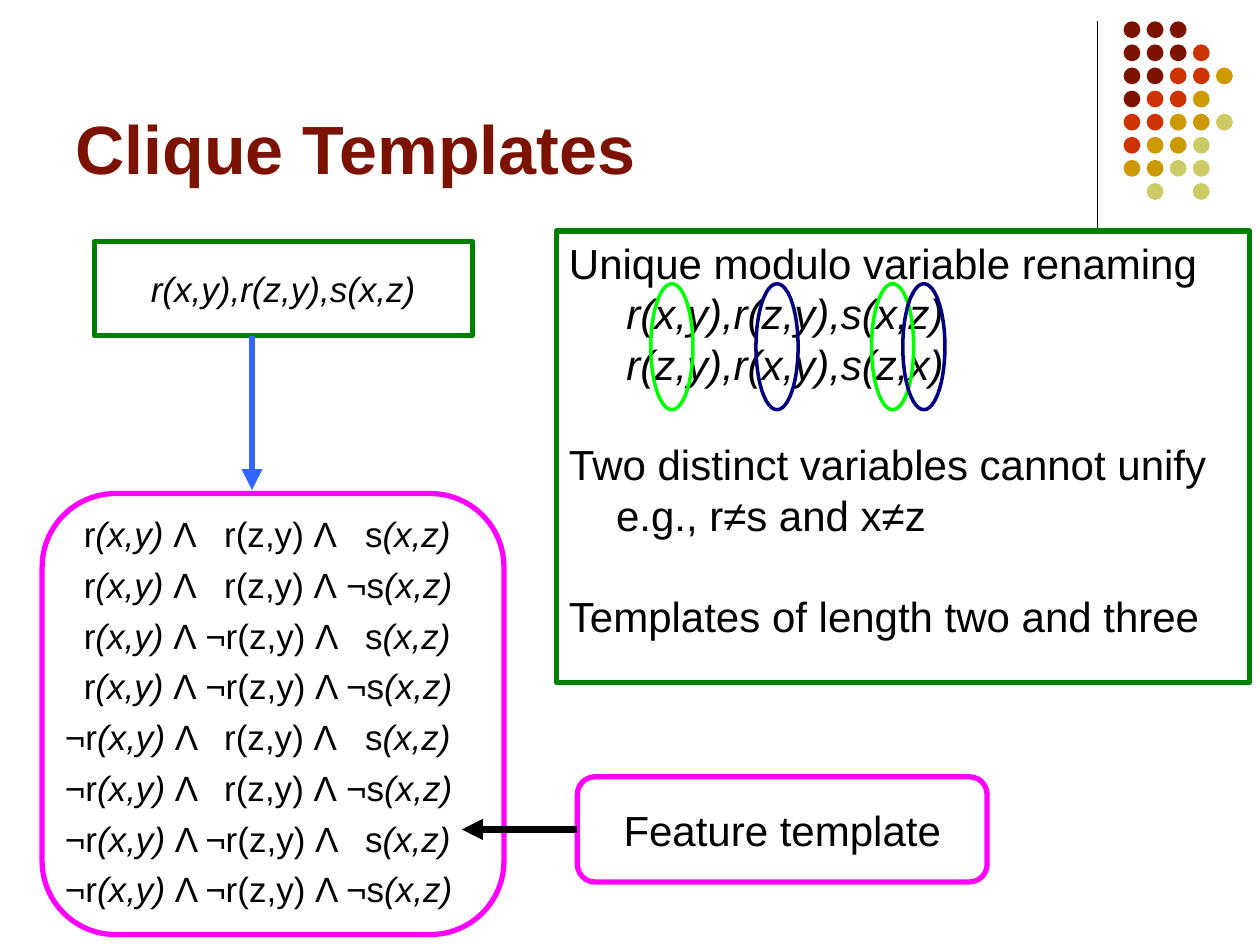
from itertools import product
from typing import NamedTuple

from lxml.etree import SubElement
from pptx import Presentation
from pptx.dml.color import RGBColor
from pptx.enum.shapes import MSO_CONNECTOR, MSO_SHAPE
from pptx.enum.text import MSO_ANCHOR, PP_ALIGN
from pptx.oxml.ns import qn
from pptx.util import Cm, Pt

COLORS = {
    "black": "000000", "maroon": "7C1302", "red": "CC3300", "gold": "CC9900",
    "sand": "CCCC66", "green": "008000", "lime": "00FF00", "navy": "000080",
    "blue": "3366FF", "magenta": "FF00FF",
}
DOT_COLORS = {"m": "maroon", "r": "red", "g": "gold", "s": "sand"}
DOT_ROWS = ["mmm", "mmmr", "mmrrg", "mrrg", "rrggs", "rggs", "ggss", " s s"]
DOT_PITCH = 3.26 / 7
NEGATION_WIDTH = 0.38


class Box(NamedTuple):
    left: float
    top: float
    width: float
    height: float


class Outline(NamedTuple):
    kind: MSO_SHAPE
    box: Box
    color: str
    weight: float


class Segment(NamedTuple):
    start: tuple[float, float]
    end: tuple[float, float]
    color: str
    weight: float
    arrow: bool


class Note(NamedTuple):
    text: str
    indent: float = 0
    gap: float = 0
    italic: bool = False


class Literal(NamedTuple):
    predicate: str
    arguments: str
    italic: bool
    column: float


NOTES = [
    Note("Unique modulo variable renaming"),
    Note("r(x,y),r(z,y),s(x,z)", indent=1.16, italic=True),
    Note("r(z,y),r(x,y),s(z,x)", indent=1.16, italic=True),
    Note("Two distinct variables cannot unify", gap=28.8),
    Note("e.g., r≠s and x≠z", indent=0.95),
    Note("Templates of length two and three", gap=28.8),
]
LITERALS = [
    Literal("r", "(x,y)", True, 0),
    Literal("r", "(z,y)", False, 2.83),
    Literal("s", "(x,z)", True, 5.67),
]
RENAMED_VARIABLES = [(15.24, "navy"), (17.57, "lime"), (18.2, "navy"), (13.12, "lime")]


def rgb(name: str) -> RGBColor:
    return RGBColor.from_string(COLORS[name])


def lengths(box: Box) -> list[Cm]:
    return [Cm(value) for value in box]


def add_run(paragraph, text: str, size: float, italic: bool = False,
            color: str = "black", bold: bool = False) -> None:
    run = paragraph.add_run()
    run.text = text
    font = run.font
    font.name, font.size = "Arial", Pt(size)
    font.italic, font.bold = italic, bold
    font.color.rgb = rgb(color)


def add_outline(slide, outline: Outline):
    shape = slide.shapes.add_shape(outline.kind, *lengths(outline.box))
    shape.shadow.inherit = False
    shape.fill.background()
    shape.line.color.rgb = rgb(outline.color)
    shape.line.width = Pt(outline.weight)
    return shape


def add_label(shape, text: str, size: float, italic: bool = False) -> None:
    frame = shape.text_frame
    frame.word_wrap = True
    frame.vertical_anchor = MSO_ANCHOR.MIDDLE
    paragraph = frame.paragraphs[0]
    paragraph.alignment = PP_ALIGN.CENTER
    add_run(paragraph, text, size, italic)


def add_segment(slide, segment: Segment) -> None:
    points = [Cm(value) for value in segment.start + segment.end]
    connector = slide.shapes.add_connector(MSO_CONNECTOR.STRAIGHT, *points)
    connector.line.color.rgb = rgb(segment.color)
    connector.line.width = Pt(segment.weight)
    if segment.arrow:
        SubElement(connector.line._get_or_add_ln(), qn("a:tailEnd"), type="triangle")
    SubElement(connector._element.spPr, qn("a:effectLst"))


def add_dots(slide) -> None:
    for row, codes in enumerate(DOT_ROWS):
        for column, code in enumerate(codes):
            if code == " ":
                continue
            box = Box(22.65 + column * DOT_PITCH, 0.43 + row * DOT_PITCH, 0.34, 0.34)
            dot = slide.shapes.add_shape(MSO_SHAPE.OVAL, *lengths(box))
            dot.shadow.inherit = False
            dot.fill.solid()
            dot.fill.fore_color.rgb = rgb(DOT_COLORS[code])
            dot.line.fill.background()


def next_paragraph(frame, index: int):
    return frame.add_paragraph() if index else frame.paragraphs[0]


def add_notes(slide) -> None:
    panel = add_outline(slide, Outline(
        MSO_SHAPE.RECTANGLE, Box(11.22, 4.66, 13.97, 9.1), "green", 3))
    frame = panel.text_frame
    frame.word_wrap = True
    frame.vertical_anchor = MSO_ANCHOR.TOP
    for index, note in enumerate(NOTES):
        paragraph = next_paragraph(frame, index)
        paragraph.alignment = PP_ALIGN.LEFT
        properties = paragraph._p.get_or_add_pPr()
        properties.set("marL", str(Cm(note.indent)))
        properties.set("indent", "0")
        if note.gap:
            paragraph.space_before = Pt(note.gap)
        add_run(paragraph, note.text, 24, note.italic)


def add_feature_rows(slide) -> None:
    """List every sign combination, with predicates aligned on tab stops."""
    frame = slide.shapes.add_textbox(*lengths(Box(1.06, 10.21, 8.89, 8.3))).text_frame
    frame.word_wrap = True
    for index, signs in enumerate(product(("", "¬"), repeat=len(LITERALS))):
        paragraph = next_paragraph(frame, index)
        if index:
            paragraph.space_before = Pt(5)
        tabs = SubElement(paragraph._p.get_or_add_pPr(), qn("a:tabLst"))
        for position, (sign, literal) in enumerate(zip(signs, LITERALS)):
            stop = literal.column + (0 if sign else NEGATION_WIDTH)
            if stop:
                SubElement(tabs, qn("a:tab"), pos=str(Cm(stop)), algn="l")
            conjunction = " Λ" if position else ""
            tab = "\t" if stop else ""
            add_run(paragraph, conjunction + tab + sign + literal.predicate, 20)
            add_run(paragraph, literal.arguments, 20, literal.italic)


def main() -> None:
    presentation = Presentation()
    presentation.slide_width, presentation.slide_height = Cm(25.4), Cm(19.05)
    slide = presentation.slides.add_slide(presentation.slide_layouts[5])

    title = slide.shapes.title
    title.left, title.top, title.width, title.height = lengths(Box(1.27, 0.32, 20.96, 3.6))
    title.text_frame.vertical_anchor = MSO_ANCHOR.BOTTOM
    heading = title.text_frame.paragraphs[0]
    heading.alignment = PP_ALIGN.LEFT
    add_run(heading, "Clique Templates", 39, color="maroon", bold=True)

    add_segment(slide, Segment((22.12, 0.43), (22.12, 4.66), "black", 0.75, False))
    add_dots(slide)
    add_notes(slide)

    clique = add_outline(slide, Outline(
        MSO_SHAPE.RECTANGLE, Box(1.9, 4.87, 7.62, 1.9), "green", 3))
    add_label(clique, "r(x,y),r(z,y),s(x,z)", 20, italic=True)
    add_segment(slide, Segment((5.08, 6.77), (5.08, 9.88), "blue", 4, True))
    add_outline(slide, Outline(
        MSO_SHAPE.ROUNDED_RECTANGLE, Box(0.85, 9.95, 9.31, 8.89), "magenta", 3))
    add_feature_rows(slide)

    for left, color in RENAMED_VARIABLES:
        add_outline(slide, Outline(MSO_SHAPE.OVAL, Box(left, 5.72, 0.85, 2.54), color, 2))

    feature = add_outline(slide, Outline(
        MSO_SHAPE.ROUNDED_RECTANGLE, Box(11.64, 15.66, 8.26, 2.12), "magenta", 3))
    add_label(feature, "Feature template", 24)
    add_segment(slide, Segment((11.64, 16.72), (9.31, 16.72), "black", 4, True))
    presentation.save("out.pptx")


if __name__ == "__main__":
    main()
